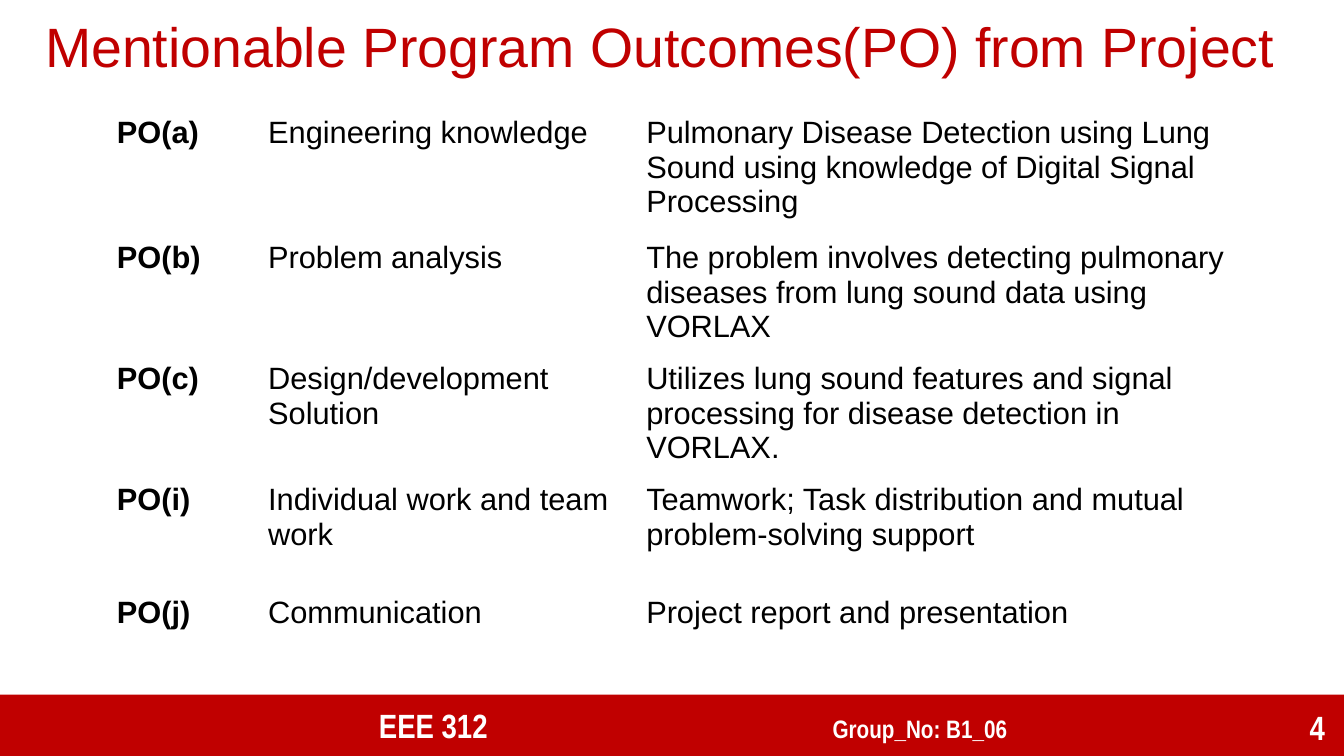
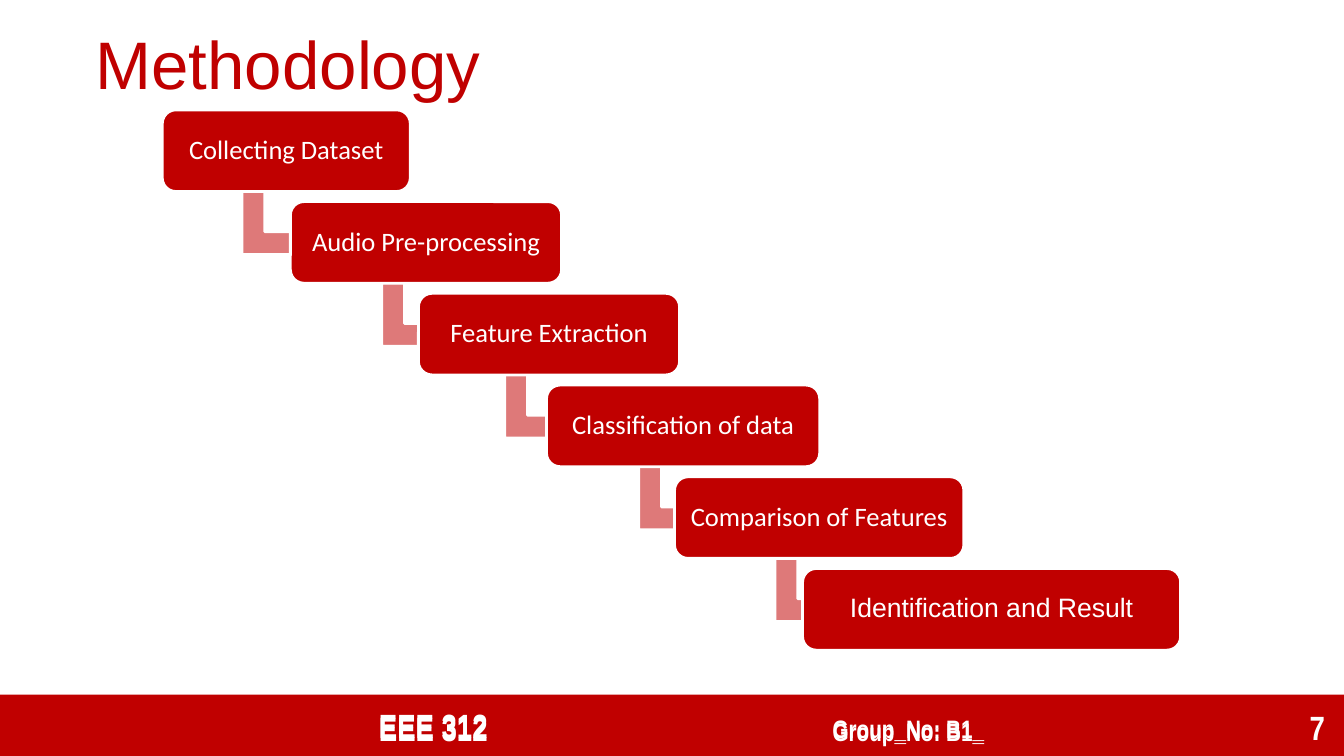
from lxml import etree
from pptx import Presentation
from pptx.dml.color import RGBColor
from pptx.enum.shapes import MSO_SHAPE
from pptx.enum.text import MSO_ANCHOR, PP_ALIGN
from pptx.oxml.ns import qn
from pptx.util import Inches, Pt

RED, PINK, WHITE, BLACK = "C00000", "DE7979", "FFFFFF", "000000"
SANS, NARROW, BODY = "Arial", "Arial Narrow", "Calibri"
SLIDE_W, SLIDE_H = 13.33, 7.5
BAND_TOP = 6.89
COURSE = "EEE 312"

OUTCOMES = [
    ("PO(a)", "Engineering knowledge",
     "Pulmonary Disease Detection using Lung Sound using knowledge of "
     "Digital Signal Processing"),
    ("PO(b)", "Problem analysis",
     "The problem involves detecting pulmonary diseases from lung sound "
     "data using VORLAX"),
    ("PO(c)", "Design/development Solution",
     "Utilizes lung sound features and signal processing for disease "
     "detection in VORLAX."),
    ("PO(i)", "Individual work and team work",
     "Teamwork; Task distribution and mutual problem-solving support"),
    ("PO(j)", "Communication", "Project report and presentation"),
]

# Step label, box width, font
STEPS = [
    ("Collecting Dataset", 2.46, BODY),
    ("Audio Pre-processing", 2.69, BODY),
    ("Feature Extraction", 2.59, BODY),
    ("Classification of data", 2.71, BODY),
    ("Comparison of Features", 2.87, BODY),
    ("Identification and Result", 3.75, SANS),
]


def rgb(value):
    return RGBColor.from_string(value)


def inches(*values):
    return [Inches(v) for v in values]


def style(run, size, font, color, bold=False):
    f = run.font
    f.size, f.name, f.bold = Pt(size), font, bold
    f.color.rgb = rgb(color)


def add_box(slide, kind, box, fill, line=None):
    sp = slide.shapes.add_shape(kind, *inches(*box))
    sp.shadow.inherit = False
    sp.fill.solid()
    sp.fill.fore_color.rgb = rgb(fill)
    if line:
        sp.line.color.rgb = rgb(line)
        sp.line.width = Pt(2)
    else:
        sp.line.fill.background()
    return sp


def add_text(slide, box, anchor=MSO_ANCHOR.TOP):
    tf = slide.shapes.add_textbox(*inches(*box)).text_frame
    tf.word_wrap = True
    tf.vertical_anchor = anchor
    return tf.paragraphs[0]


# Parts shared by the slides
def add_title(slide, text, left, top, size):
    p = add_text(slide, (left, top, 12.63, 0.8), MSO_ANCHOR.MIDDLE)
    p.text = text
    p.line_spacing = 0.9
    style(p.runs[0], size, SANS, RED)


def add_band(slide, number):
    add_box(slide, MSO_SHAPE.RECTANGLE,
            (0, BAND_TOP, SLIDE_W, SLIDE_H - BAND_TOP), RED)
    p = add_text(slide, (12.5, BAND_TOP + 0.11, 0.74, 0.46), MSO_ANCHOR.BOTTOM)
    p.text = str(number)
    p.alignment = PP_ALIGN.RIGHT
    style(p.runs[0], 24, NARROW, WHITE, True)


def add_footer(slide, group, top):
    p = add_text(slide, (3.66, top, 7.45, 0.49))
    for text, size in ((COURSE + "\t", 24), (group, 18)):
        r = p.add_run()
        r.text = text
        style(r, size, NARROW, WHITE, True)
    # Tab stop that separates course and group
    tabs = etree.SubElement(p._p.get_or_add_pPr(), qn("a:tabLst"))
    etree.SubElement(tabs, qn("a:tab"), pos=str(Inches(4.5)), algn="l")


# Table of programme outcomes
def add_outcomes(slide, box):
    cols, rows = (1.5, 3.75, 5.95), (1.24, 1.12, 1.12, 1.12, 0.44)
    table = slide.shapes.add_table(len(rows), len(cols), *inches(*box)).table
    for column, width in zip(table.columns, cols):
        column.width = Inches(width)
    for row, height, texts in zip(table.rows, rows, OUTCOMES):
        row.height = Inches(height)
        for c, (cell, text) in enumerate(zip(row.cells, texts)):
            cell.fill.solid()
            cell.fill.fore_color.rgb = rgb(WHITE)
            cell.text = text
            style(cell.text_frame.paragraphs[0].runs[0], 22, SANS, BLACK,
                  c == 0)


# Staircase of steps
def add_arrow(slide, center_x, top):
    w, h = 0.69, 0.78
    sp = add_box(slide, MSO_SHAPE.BENT_UP_ARROW,
                 (center_x - w / 2, top, w, h), PINK, WHITE)
    sp.rotation = 90
    for i, value in enumerate((0.328, 0.25, 0.358)):
        sp.adjustments[i] = value


def add_step(slide, text, font, box):
    sp = add_box(slide, MSO_SHAPE.ROUNDED_RECTANGLE, box, RED, WHITE)
    tf = sp.text_frame
    tf.word_wrap = True
    tf.vertical_anchor = MSO_ANCHOR.MIDDLE
    tf.margin_left = tf.margin_right = Inches(0.08)
    tf.margin_top = tf.margin_bottom = Inches(0.08)
    p = tf.paragraphs[0]
    p.text = text
    p.alignment = PP_ALIGN.CENTER
    p.line_spacing = 0.9
    style(p.runs[0], 19, font, WHITE)


def add_staircase(slide, left, top):
    step_x, step_y, height = 1.27, 0.91, 0.81
    for i, (text, width, font) in enumerate(STEPS):
        x, y = left + i * step_x, top + i * step_y
        if i < len(STEPS) - 1:
            add_arrow(slide, x + width / 2 - 0.05, y + 0.76)
        add_step(slide, text, font, (x, y, width, height))


# Slides
def outcomes_slide(prs):
    slide = prs.slides.add_slide(prs.slide_layouts[6])
    add_band(slide, 4)
    add_title(slide, "Mentionable Program Outcomes(PO) from Project",
              0.35, 0.09, 39.6)
    add_footer(slide, "Group_No: B1_06", 6.94)
    add_outcomes(slide, (1.06, 1.1, 11.2, 5.04))


def methodology_slide(prs):
    slide = prs.slides.add_slide(prs.slide_layouts[6])
    add_band(slide, 7)
    add_title(slide, "Methodology", 0.85, 0.27, 48)
    for top in (6.94, 6.97):
        add_footer(slide, "Group_No: B1_", top)
    add_staircase(slide, 1.61, 1.09)


def main():
    prs = Presentation()
    prs.slide_width, prs.slide_height = inches(SLIDE_W, SLIDE_H)
    outcomes_slide(prs)
    methodology_slide(prs)
    prs.save("out.pptx")


if __name__ == "__main__":
    main()
